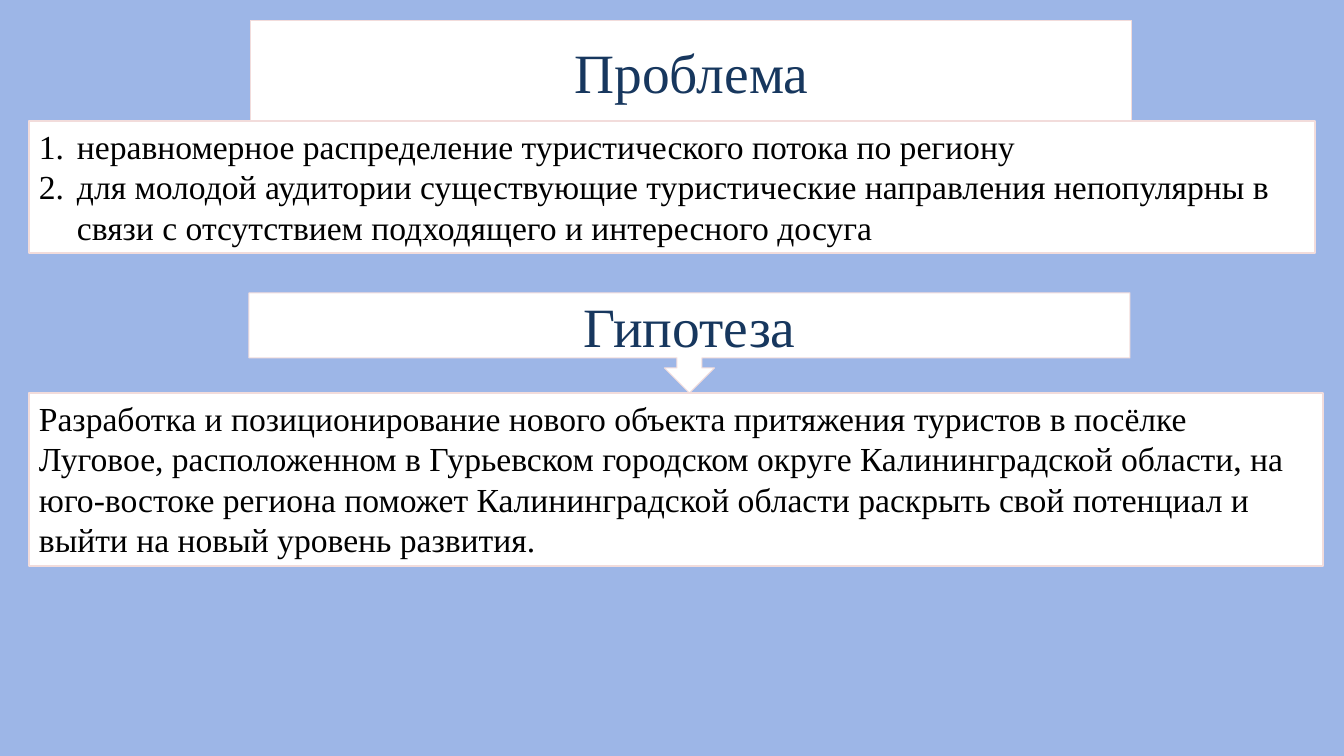
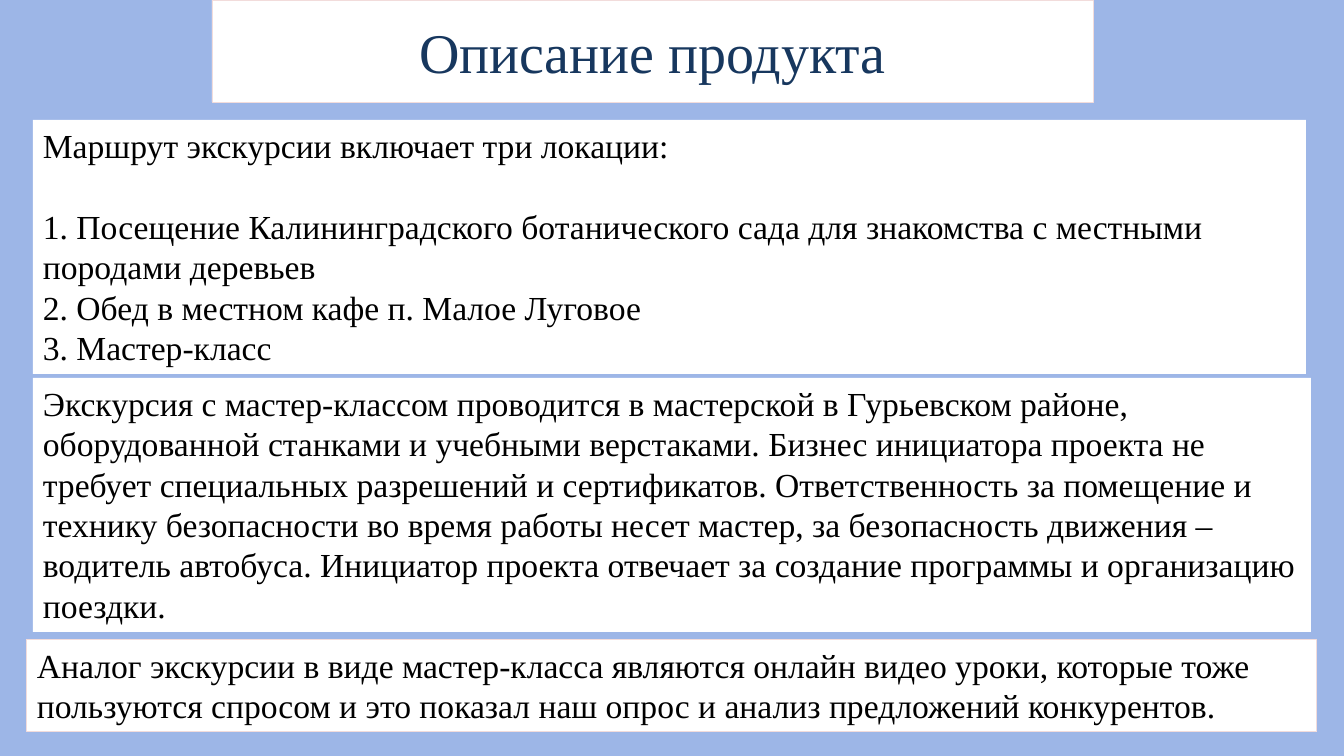
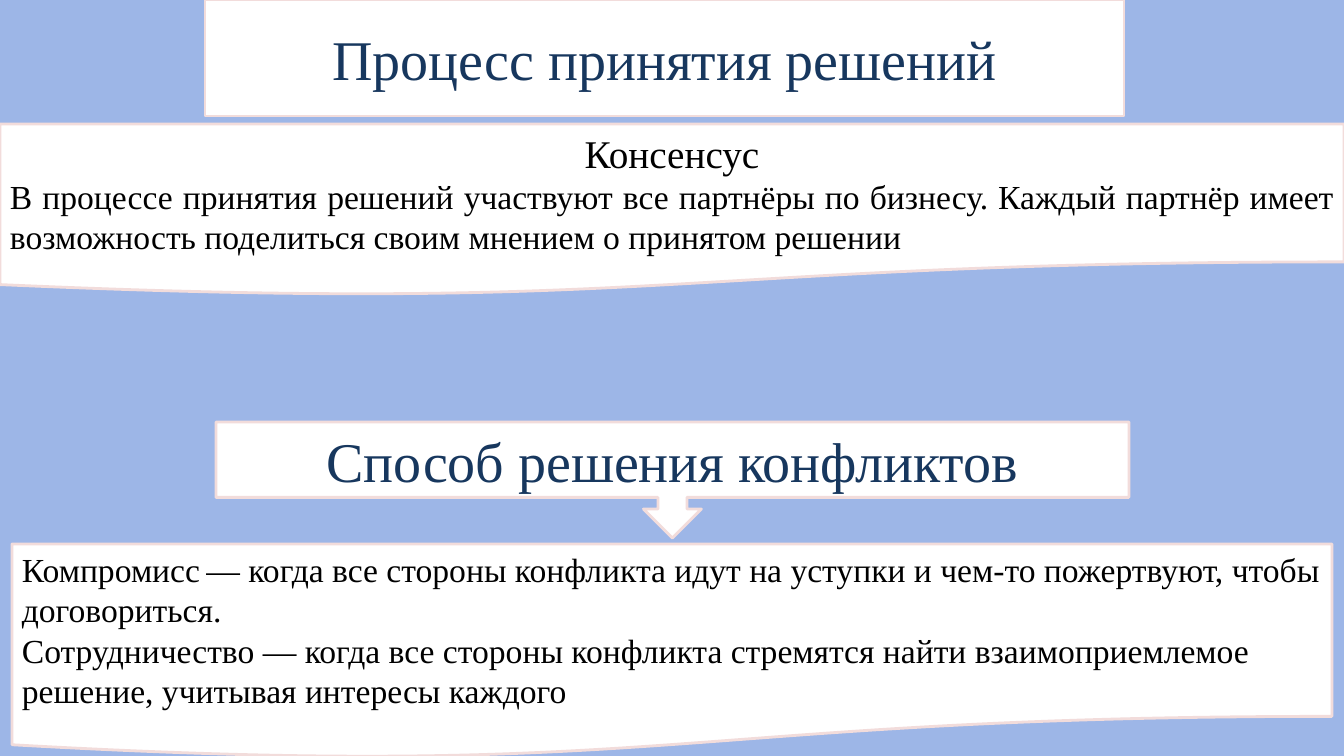
from lxml import etree
from pptx import Presentation
from pptx import util as u
from pptx.dml.color import RGBColor
from pptx.enum import shapes, text
from pptx.oxml import ns

SLIDE_W, SLIDE_H = 1344, 756
PX = u.Inches(7.5) / SLIDE_H

SKY = RGBColor(0x9D, 0xB6, 0xE7)
WHITE = RGBColor(0xFF, 0xFF, 0xFF)
ROSE = RGBColor(0xF2, 0xDC, 0xDB)
NAVY = RGBColor(0x17, 0x37, 0x5E)
BLACK = RGBColor(0x00, 0x00, 0x00)

FONT = "Times New Roman"
HEADING_PT, BODY_PT = 40, 24
BLANK_LINE_PT = 29
NUMBER_INDENT = 38

RECT = shapes.MSO_SHAPE.RECTANGLE
CALLOUT = shapes.MSO_SHAPE.DOWN_ARROW_CALLOUT
DOCUMENT = shapes.MSO_SHAPE.FLOWCHART_DOCUMENT
CENTER = text.PP_ALIGN.CENTER
JUSTIFY = text.PP_ALIGN.JUSTIFY
LEFT = text.PP_ALIGN.LEFT


def px(length):
    return u.Emu(round(length * PX))


def add_slide(prs):
    slide = prs.slides.add_slide(prs.slide_layouts[6])
    fill = slide.background.fill
    fill.solid()
    fill.fore_color.rgb = SKY
    return slide


def add_panel(slide, box, kind, border, anchor):
    """White panel with a rose border (0 for none); returns its text frame."""
    panel = slide.shapes.add_shape(kind, *map(px, box))
    panel.shadow.inherit = False
    panel.fill.solid()
    panel.fill.fore_color.rgb = WHITE
    if border:
        panel.line.color.rgb = ROSE
        panel.line.width = u.Pt(border)
    else:
        panel.line.fill.background()
    frame = panel.text_frame
    frame.word_wrap = True
    frame.vertical_anchor = anchor
    return frame


def add_run(paragraph, words, size, color):
    run = paragraph.add_run()
    run.text = words
    run.font.name = FONT
    run.font.size = u.Pt(size)
    run.font.color.rgb = color


def add_heading(slide, box, words, kind=RECT, border=2, size=HEADING_PT):
    frame = add_panel(slide, box, kind, border, text.MSO_ANCHOR.MIDDLE)
    paragraph = frame.paragraphs[0]
    paragraph.alignment = CENTER
    add_run(paragraph, words, size, NAVY)


def number(paragraph):
    properties = paragraph._p.get_or_add_pPr()
    properties.set("marL", str(px(NUMBER_INDENT)))
    properties.set("indent", str(-px(NUMBER_INDENT)))
    etree.SubElement(properties, ns.qn("a:buAutoNum"), type="arabicPeriod")


def para(*runs, align=LEFT, before=0):
    """Each run is a string in body size or a (string, size) pair."""
    return runs, align, before


def add_body(slide, box, paragraphs, kind=RECT, border=2, numbered=False):
    frame = add_panel(slide, box, kind, border, text.MSO_ANCHOR.TOP)
    for index, (runs, align, before) in enumerate(paragraphs):
        paragraph = frame.add_paragraph() if index else frame.paragraphs[0]
        paragraph.alignment = align
        if before:
            paragraph.space_before = u.Pt(before)
        if numbered:
            number(paragraph)
        for run in runs:
            words, size = (run, BODY_PT) if isinstance(run, str) else run
            add_run(paragraph, words, size, BLACK)


def problem_slide(prs):
    slide = add_slide(prs)
    add_heading(slide, (251, 21, 881, 100), "Проблема", border=0.75, size=39.6)
    add_body(slide, (29, 121, 1286, 132), [
        para("неравномерное распределение туристического потока по региону"),
        para("для молодой аудитории существующие туристические направления "
             "непопулярны в связи с отсутствием подходящего и интересного досуга"),
    ], numbered=True)
    add_body(slide, (29, 393, 1294, 173), [
        para("Разработка и позиционирование нового объекта притяжения туристов "
             "в посёлке Луговое, расположенном в Гурьевском городском округе "
             "Калининградской области, на юго-востоке региона поможет "
             "Калининградской области раскрыть свой потенциал и выйти на новый "
             "уровень развития."),
    ])
    add_heading(slide, (249, 293, 881, 100), "Гипотеза", CALLOUT, 0.75, 39.6)


def product_slide(prs):
    slide = add_slide(prs)
    add_heading(slide, (212, 0, 881, 102), "Описание продукта", border=0.25)
    add_body(slide, (33, 120, 1273, 254), [
        para("Маршрут экскурсии включает три локации:"),
        para("1. Посещение Калининградского ботанического сада для знакомства "
             "с местными", before=BLANK_LINE_PT),
        para("породами деревьев"),
        para("2. Обед в местном кафе п. Малое Луговое"),
        para("3. Мастер-класс"),
    ], border=0)
    add_body(slide, (33, 378, 1278, 254), [
        para("Экскурсия с мастер-классом проводится в мастерской в Гурьевском "
             "районе, оборудованной станками и учебными верстаками. Бизнес "
             "инициатора проекта не требует специальных разрешений и "
             "сертификатов. Ответственность за помещение и технику безопасности "
             "во время работы несет мастер, за безопасность движения – водитель "
             "автобуса. Инициатор проекта отвечает за создание программы и "
             "организацию поездки."),
    ], border=0)
    add_body(slide, (27, 640, 1290, 92), [
        para("Аналог экскурсии в виде мастер-класса являются онлайн видео уроки, "
             "которые тоже пользуются спросом и это показал наш опрос и анализ "
             "предложений конкурентов."),
    ], border=0.75)


def decisions_slide(prs):
    slide = add_slide(prs)
    add_heading(slide, (205, 0, 919, 116), "Процесс принятия решений")
    add_heading(slide, (216, 422, 913, 116), "Способ решения конфликтов", CALLOUT)
    add_body(slide, (0, 124, SLIDE_W, 172), [
        para(("Консенсус", 28), align=CENTER),
        para("В процессе принятия решений участвуют все партнёры по бизнесу. "
             "Каждый партнёр имеет возможность поделиться своим мнением о "
             "принятом решении", align=JUSTIFY),
    ], DOCUMENT)
    add_body(slide, (12, 544, 1320, 215), [
        para("Компромисс", (" ", 18),
             "— когда все стороны конфликта идут на уступки и чем-то "
             "пожертвуют, чтобы договориться."),
        para("Сотрудничество — когда все стороны конфликта стремятся найти "
             "взаимоприемлемое решение, учитывая интересы каждого"),
    ], DOCUMENT)


def main():
    prs = Presentation()
    prs.slide_width, prs.slide_height = px(SLIDE_W), px(SLIDE_H)
    problem_slide(prs)
    product_slide(prs)
    decisions_slide(prs)
    prs.save("out.pptx")


if __name__ == "__main__":
    main()
